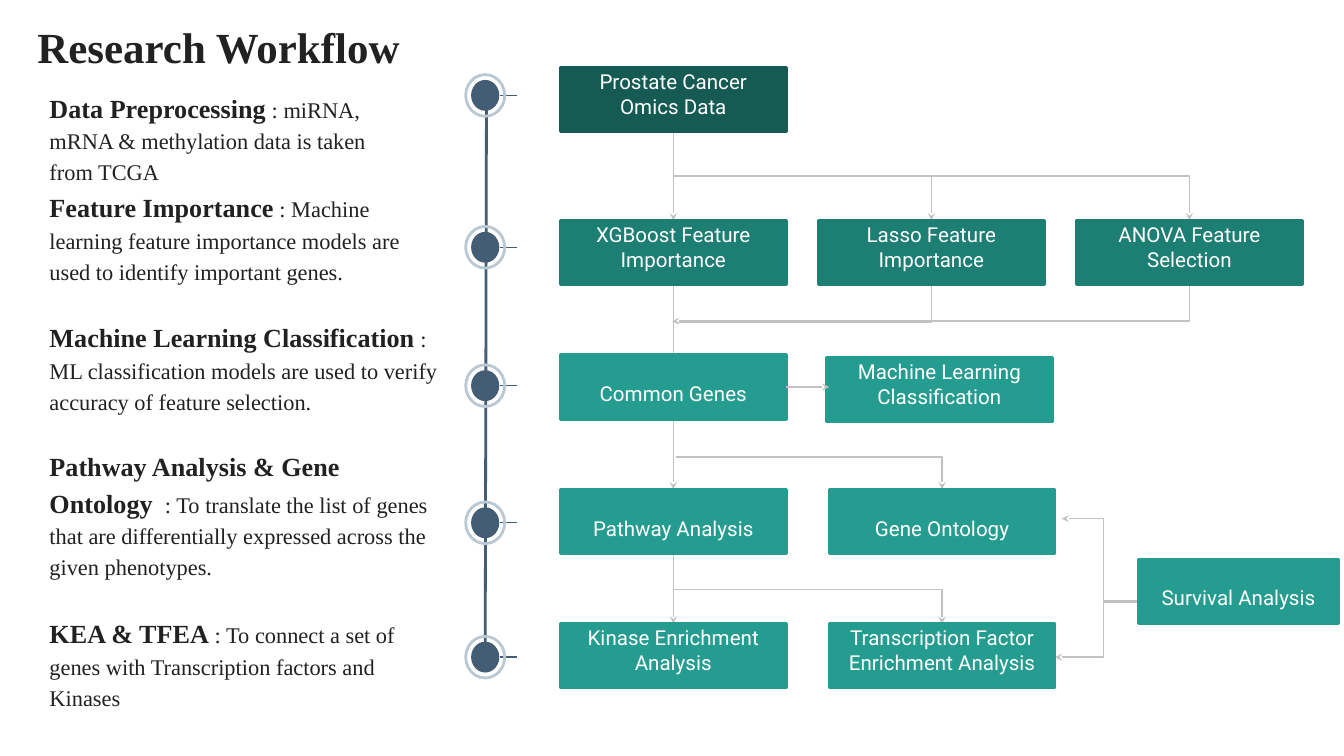
from lxml import etree
from pptx import Presentation
from pptx.dml.color import RGBColor
from pptx.enum.shapes import MSO_CONNECTOR, MSO_SHAPE
from pptx.enum.text import MSO_ANCHOR, MSO_AUTO_SIZE, PP_ALIGN
from pptx.oxml.ns import qn
from pptx.util import Inches, Pt

RECT = MSO_SHAPE.RECTANGLE
OVAL = MSO_SHAPE.OVAL
STRAIGHT = MSO_CONNECTOR.STRAIGHT
ELBOW = MSO_CONNECTOR.ELBOW
BOTTOM = MSO_ANCHOR.BOTTOM
GROW = MSO_AUTO_SIZE.SHAPE_TO_FIT_TEXT
CENTER = PP_ALIGN.CENTER

INK = RGBColor(0x21, 0x21, 0x21)
WHITE = RGBColor(0xFF, 0xFF, 0xFF)
DARK = RGBColor(0x15, 0x5B, 0x54)
MID = RGBColor(0x1D, 0x7E, 0x74)
TEAL = RGBColor(0x24, 0x9C, 0x90)
GRAY = RGBColor(0xC2, 0xC2, 0xC2)
SLATE = RGBColor(0x43, 0x5D, 0x74)
MIST = RGBColor(0xBA, 0xC8, 0xD3)

SERIF = "Times New Roman"
SANS = "Roboto"
BOX_W, BOX_H = 1.68, 0.48
LEFT, AXIS = 4.17, 3.61
MAIN = LEFT + BOX_W / 2


class Board:
    def __init__(self, slide):
        self.shapes = slide.shapes

    def run(self, para, text, font, size, color, bold=False):
        run = para.add_run()
        run.text = text
        run.font.name = font
        run.font.size = Pt(size)
        run.font.bold = bold
        run.font.color.rgb = color

    def pad(self, frame):
        frame.word_wrap = True
        frame.margin_left = frame.margin_right = Inches(0.1)
        frame.margin_top = frame.margin_bottom = Inches(0.1)

    def note(self, x, y, w, h, parts, space=None):
        box = self.shapes.add_textbox(Inches(x), Inches(y), Inches(w), Inches(h))
        frame = box.text_frame
        self.pad(frame)
        frame.auto_size = GROW
        para = frame.paragraphs[0]
        para.line_spacing = space
        for text, size, bold in parts:
            self.run(para, text, SERIF, size, INK, bold)

    def shape(self, kind, x, y, w, h, fill=None, edge=None):
        item = self.shapes.add_shape(kind, Inches(x), Inches(y), Inches(w), Inches(h))
        item.shadow.inherit = False
        if fill is None:
            item.fill.background()
        else:
            item.fill.solid()
            item.fill.fore_color.rgb = fill
        if edge is None:
            item.line.fill.background()
        else:
            item.line.color.rgb = edge
            item.line.width = Pt(1.5)
        return item

    def step(self, x, y, text, color, w=BOX_W):
        frame = self.shape(RECT, x, y, w, BOX_H, color, color).text_frame
        self.pad(frame)
        frame.vertical_anchor = BOTTOM
        para = frame.paragraphs[0]
        para.alignment = CENTER
        self.run(para, text, SANS, 11, WHITE)

    def line(self, x1, y1, x2, y2, arrow=False, kind=STRAIGHT, color=GRAY, width=0.75):
        link = self.shapes.add_connector(kind, Inches(x1), Inches(y1), Inches(x2), Inches(y2))
        link.line.color.rgb = color
        link.line.width = Pt(width)
        props = link._element.spPr
        if arrow:
            tip = etree.SubElement(props.find(qn("a:ln")), qn("a:tailEnd"))
            for key, value in (("type", "stealth"), ("w", "sm"), ("len", "sm")):
                tip.set(key, value)
        etree.SubElement(props, qn("a:effectLst"))
        return props

    def corner(self, props):
        props.find(qn("a:prstGeom")).set("prst", "bentConnector2")

    def drop(self, x1, y1, x2, y2, arrow=True):
        cx, cy = (x1 + x2) / 2, (y1 + y2) / 2
        w, h = abs(y2 - y1) / 2, abs(x2 - x1) / 2
        props = self.line(cx - w, cy - h, cx + w, cy + h, arrow, ELBOW)
        frame = props.find(qn("a:xfrm"))
        frame.set("rot", "5400000")
        if x2 > x1:
            frame.set("flipV", "1")
        return props

    def node(self, y):
        self.line(AXIS + 0.11, y, AXIS + 0.24, y, color=SLATE)
        for w, h, fill, edge in ((0.29, 0.31, None, MIST), (0.21, 0.23, SLATE, None)):
            self.shape(OVAL, AXIS - w / 2, y - h / 2, w, h, fill, edge)


NOTES = (
    (0.55, 2.73, 0.91, "Data Preprocessing",
     " : miRNA, mRNA & methylation data is taken from TCGA"),
    (1.29, 3.06, 0.91, "Feature Importance",
     " : Machine learning feature importance models are used to identify important genes."),
    (2.26, 3.16, 0.91, "Machine Learning Classification",
     " : ML classification models are used to verify accuracy of feature selection."),
    (3.22, 3.06, 1.18, "Pathway Analysis & Gene Ontology ",
     " : To translate the list of genes that are differentially expressed across the given phenotypes."),
    (4.46, 3.06, 0.91, "KEA & TFEA",
     " : To connect a set of genes with Transcription factors and Kinases"),
)
STEPS = (
    (LEFT, 0.5, "Prostate Cancer Omics Data", DARK),
    (LEFT, 1.64, "XGBoost Feature Importance", MID),
    (6.09, 1.64, "Lasso Feature Importance", MID),
    (8.01, 1.64, "ANOVA Feature Selection", MID),
    (LEFT, 2.64, "Common Genes", TEAL),
    (6.15, 2.66, "Machine Learning Classification", TEAL),
    (LEFT, 3.64, "Pathway Analysis", TEAL),
    (6.17, 3.64, "Gene Ontology", TEAL),
    (LEFT, 4.64, "Kinase Enrichment Analysis", TEAL),
    (6.17, 4.64, "Transcription Factor Enrichment Analysis", TEAL),
)


def main():
    deck = Presentation()
    deck.slide_width = Inches(10)
    deck.slide_height = deck.slide_width * 9 // 16
    board = Board(deck.slides.add_slide(deck.slide_layouts[6]))

    board.note(0.18, 0.05, 2.91, 0.59, [("Research Workflow", 23, True)])
    for y, w, h, head, body in NOTES:
        board.note(0.27, y, w, h, [(head, 14, True), (body, 12, False)], 1.15)

    for top, end, arrow in ((0.98, 1.64, True), (2.12, 2.64, False),
                            (3.12, 3.64, True), (4.13, 4.64, True)):
        board.line(MAIN, top, MAIN, end, arrow)
    for x in (6.93, 8.85):
        board.drop(MAIN, 0.98, x, 1.64)
    board.drop(MAIN, 4.13, 7.01, 4.64)
    board.corner(board.drop(8.85, 2.12, 5, 2.39))
    board.corner(board.drop(6.93, 2.12, 5.04, 2.4, False))
    board.corner(board.line(5.03, 3.4, 7.01, 3.64, True, ELBOW))
    board.line(8.52, 4.47, 7.9, 3.86, True, ELBOW)
    board.line(8.57, 4.48, 7.85, 4.89, True, ELBOW)

    for x, y, text, color in STEPS:
        board.step(x, y, text, color)
    board.step(8.47, 4.16, "Survival Analysis", TEAL, 1.49)
    board.line(5.85, 2.88, 6.17, 2.88, True)

    board.line(3.62, 0.7, AXIS, 5, color=SLATE, width=1.5)
    for y in (0.71, 1.84, 2.87, 3.89, 4.89):
        board.node(y)
    deck.save("out.pptx")


if __name__ == "__main__":
    main()
